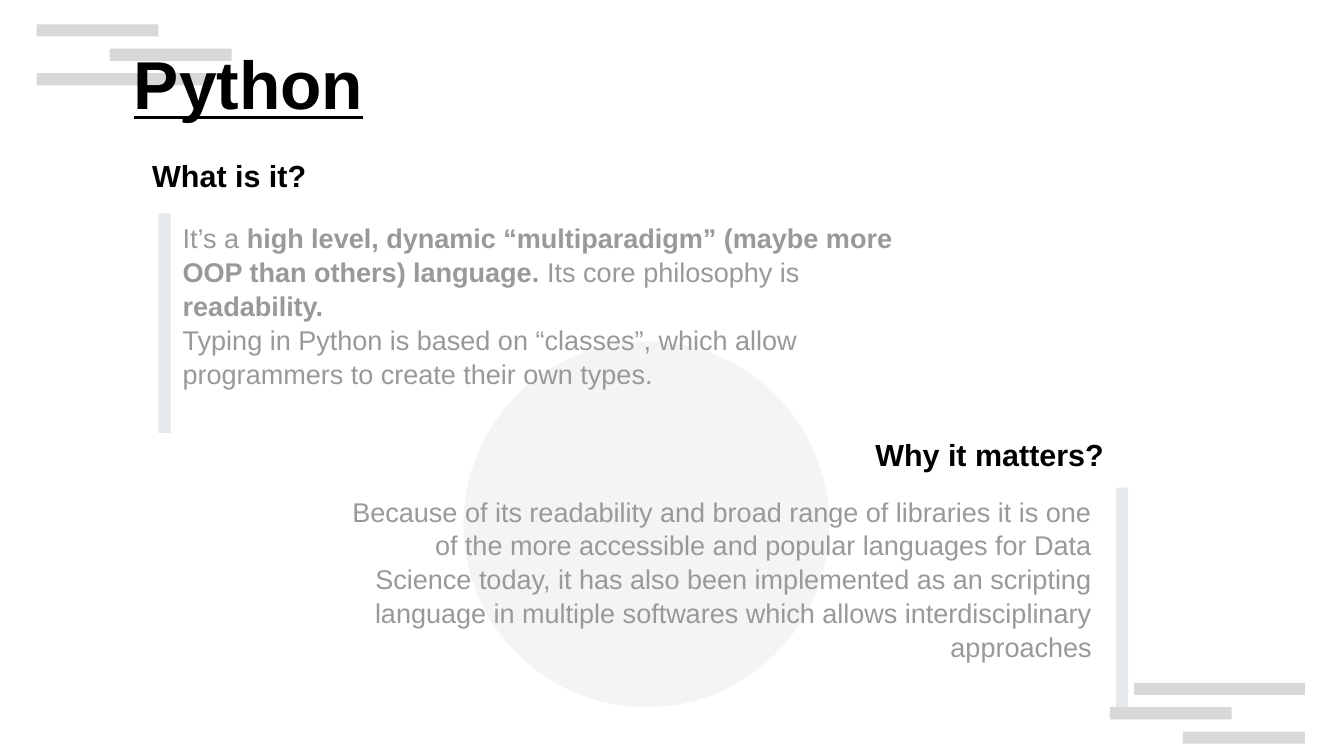
import pptx
import pptx.util
import pptx.dml.color
import pptx.enum.shapes
import pptx.enum.text
from pptx.oxml.ns import qn
from lxml import etree

Inches = pptx.util.Inches
SHAPE = pptx.enum.shapes.MSO_SHAPE
ALIGN = pptx.enum.text.PP_ALIGN
ANCHOR = pptx.enum.text.MSO_ANCHOR

# Each paragraph is a list of (text, bold) runs
TITLE = [[("Python", True)]]
WHAT = [[("What is it?", True)]]
ABOUT = [
    [
        ("It’s a ", False),
        ("high level, dynamic “multiparadigm” (maybe more OOP than others) language. ", True),
        ("Its core philosophy is ", False),
        ("readability.", True),
    ],
    [("Typing in Python is based on “classes”, which allow programmers to create their own types.", False)],
]
WHY = [[("Why it matters?", True)]]
REASON = [[(
    "Because of its readability and broad range of libraries it is one of the more "
    "accessible and popular languages for Data Science today, it has also been "
    "implemented as an scripting language in multiple softwares which allows "
    "interdisciplinary approaches", False)]]

# Corner stripes: top of the stack, then (left, width) of each bar
STRIPES = [
    (5.6, [(9.3, 1.4), (9.1, 1), (9.7, 1)]),
    (0.2, [(0.3, 1), (0.9, 1), (0.3, 1.4)]),
]
BAR, STEP = 0.1, 0.2
RULES = [(1.3, 1.75), (9.15, 4)]

THEME = {
    "font": "Arial",
    "ink": "000000", "soft": "999999",
    "stripe": ("CCCCCC", 75), "disc": ("8D99AE", 10), "rule": ("CED4DA", 50),
    "title": 40, "head": 18, "body": 16,
}

deck = pptx.Presentation()
deck.slide_width, deck.slide_height = Inches(11.02), Inches(6.2)
slide = deck.slides.add_slide(deck.slide_layouts[6])


def rgb(code):
    return pptx.dml.color.RGBColor.from_string(code)


def add_block(kind, box, paint):
    """Add a shape without outline; paint is (colour, opacity percent)."""
    shape = slide.shapes.add_shape(kind, *map(Inches, box))
    shape.shadow.inherit = False
    shape.line.fill.background()
    shape.fill.solid()
    shape.fill.fore_color.rgb = rgb(paint[0])
    tint = shape.fill._xPr.find(qn("a:solidFill"))[0]
    etree.SubElement(tint, qn("a:alpha")).set("val", str(paint[1] * 1000))


def add_text(paras, box, size="body", color="ink", align=ALIGN.LEFT,
             anchor=ANCHOR.TOP, under=None, lead=None):
    frame = slide.shapes.add_textbox(*map(Inches, box)).text_frame
    frame.word_wrap = True
    frame.vertical_anchor = anchor
    for i, runs in enumerate(paras):
        para = frame.add_paragraph() if i else frame.paragraphs[0]
        para.alignment = align
        para.line_spacing = lead
        for text, bold in runs:
            run = para.add_run()
            run.text = text
            font = run.font
            font.name, font.size = THEME["font"], pptx.util.Pt(THEME[size])
            font.bold, font.underline = bold, under
            font.color.rgb = rgb(THEME[color])


for top, bars in STRIPES:
    for i, (left, width) in enumerate(bars):
        add_block(SHAPE.RECTANGLE, (left, top + i * STEP, width, BAR), THEME["stripe"])
add_block(SHAPE.OVAL, (3.8, 2.8, 3, 3), THEME["disc"])
for left, top in RULES:
    add_block(SHAPE.RECTANGLE, (left, top, BAR, 1.8), THEME["rule"])

add_text(TITLE, (1, 0.25, 4.1, 0.86), size="title", anchor=ANCHOR.MIDDLE, under=True)
add_text(WHAT, (1.15, 1.24, 4.6, 0.51), size="head")
add_text(ABOUT, (1.4, 1.76, 6.4, 1.68), color="soft", lead=1.04)
add_text(WHY, (6.7, 3.53, 2.45, 0.44), size="head", align=ALIGN.RIGHT)
add_text(REASON, (2.65, 4, 6.4, 1.61), color="soft", align=ALIGN.RIGHT, lead=1.04)

deck.save("out.pptx")
